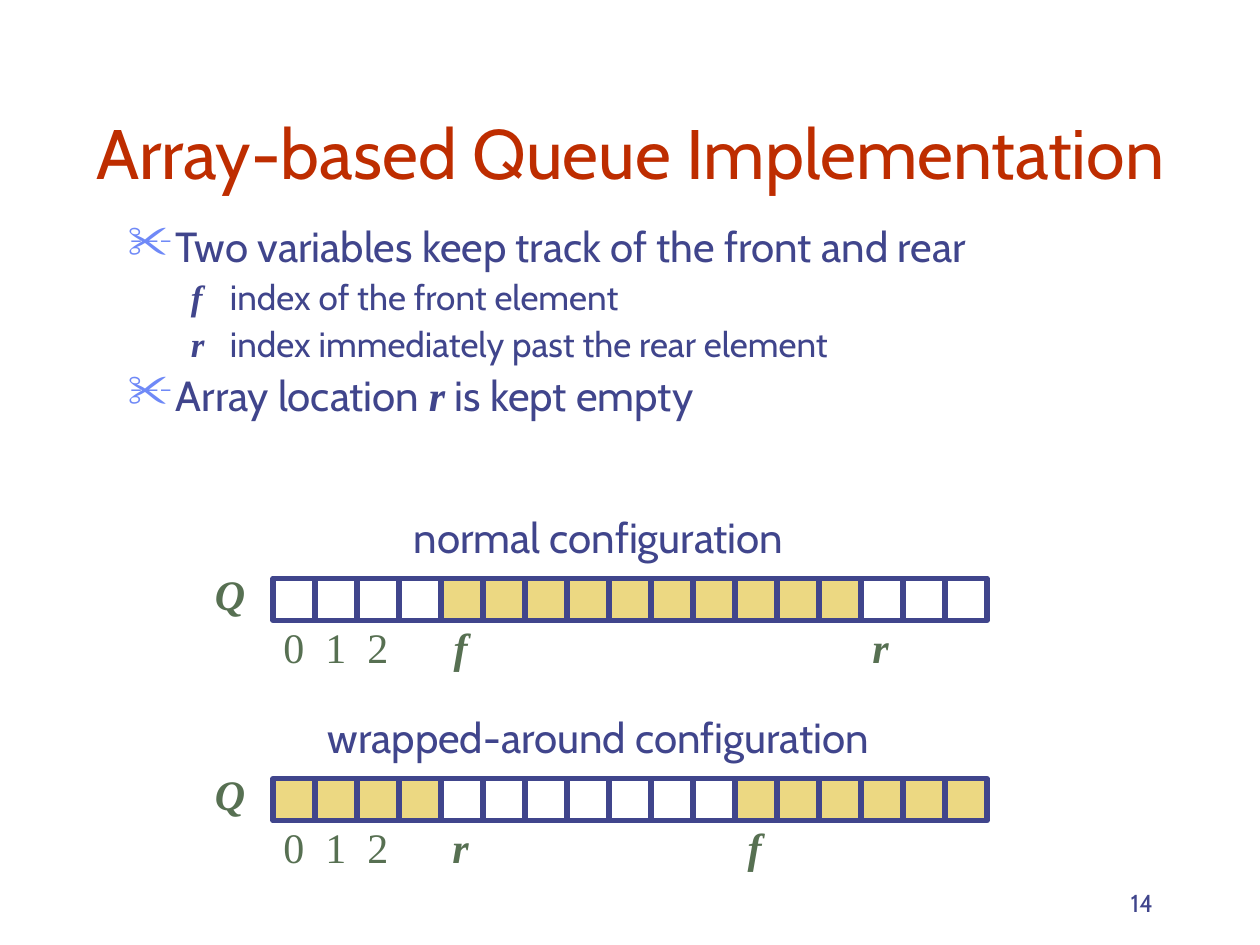
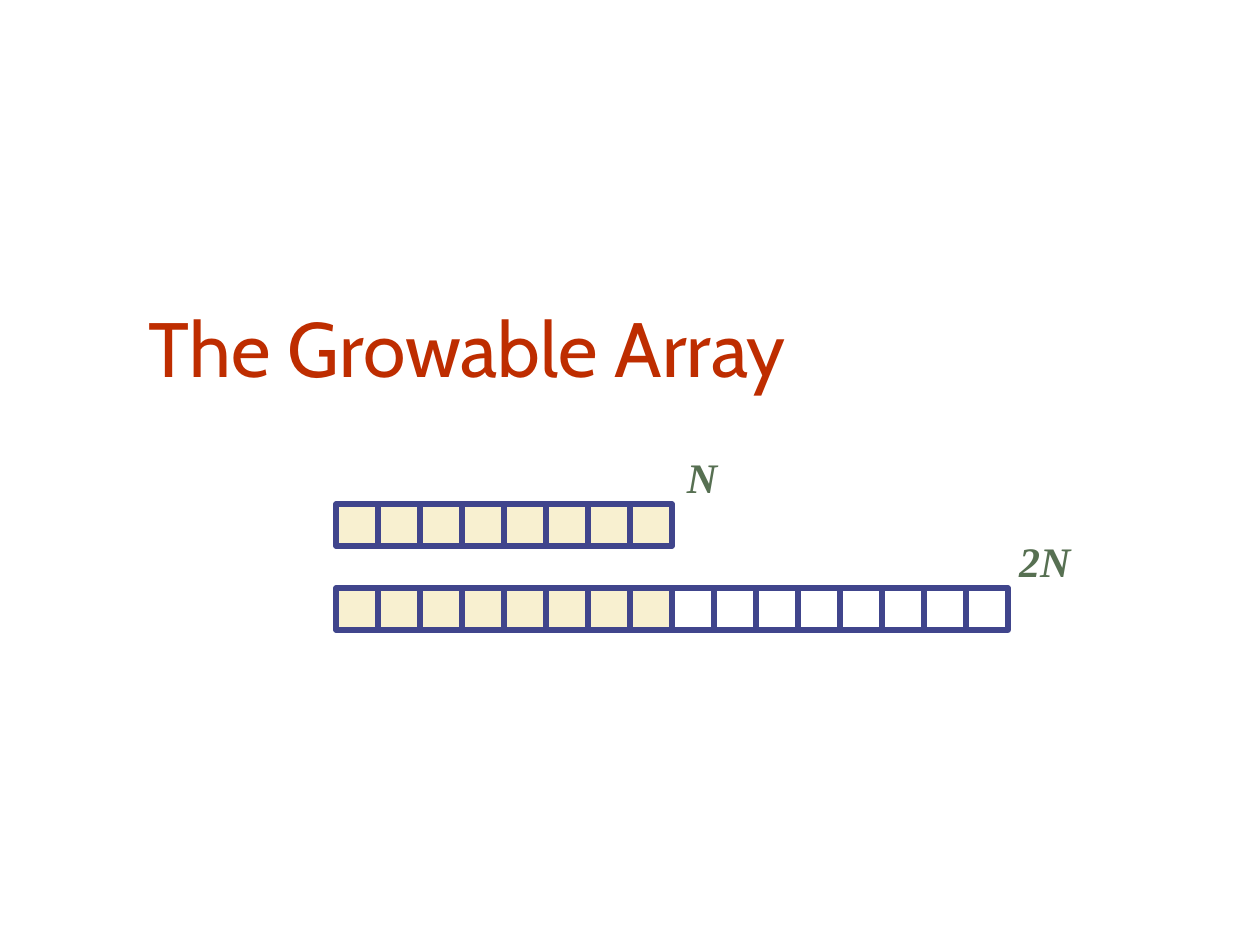
from lxml.etree import SubElement
from pptx import Presentation
from pptx.dml.color import RGBColor
from pptx.enum.shapes import MSO_SHAPE
from pptx.enum.text import MSO_ANCHOR, PP_ALIGN
from pptx.oxml.ns import qn
from pptx.util import Inches, Pt

RED = RGBColor(0xBE, 0x2D, 0x00)
NAVY = RGBColor(0x40, 0x45, 0x8C)
GREEN = RGBColor(0x57, 0x70, 0x52)
SKY = RGBColor(0x6F, 0x89, 0xF7)
GOLD = RGBColor(0xEC, 0xD8, 0x82)
CREAM = RGBColor(0xF8, 0xF0, 0xD0)
WHITE = RGBColor(0xFF, 0xFF, 0xFF)
SANS, SERIF = "Cabin", "Times New Roman"

deck = Presentation()
deck.slide_width, deck.slide_height = Inches(10), Inches(7.5)
UNIT = deck.slide_width / 30


def grid(*spans):
    return [round(span * UNIT) for span in spans]


def write(shapes, text, place, size=24, color=NAVY, font=SANS, align=PP_ALIGN.LEFT,
          anchor=MSO_ANCHOR.TOP, inset=0.1, wrap=True, bullets=False):
    frame = shapes.add_textbox(*grid(*place)).text_frame
    frame.word_wrap = wrap
    frame.vertical_anchor = anchor
    frame.margin_left = frame.margin_right = Inches(inset)
    frame.margin_top = frame.margin_bottom = Inches(inset / 2)
    for num, line in enumerate(text.split("\n")):
        para = frame.paragraphs[0] if num == 0 else frame.add_paragraph()
        para.alignment = align
        points = size
        if bullets:
            sub = "\t" in line
            points = 20 if sub else size
            props = para._p.get_or_add_pPr()
            props.set("marL", str(Inches(0.81 if sub else 0.38)))
            props.set("indent", str(Inches(-0.31 if sub else -0.38)))
            if not sub:
                tint = SubElement(props, qn("a:buClr"))
                SubElement(tint, qn("a:srgbClr"), val=str(SKY))
                SubElement(props, qn("a:buSzPct"), val="110000")
                SubElement(props, qn("a:buChar"), char="✂")
            para.line_spacing = 0.9
            if num:
                para.space_before = Pt(5 if sub else 6)
        for part, words in enumerate(line.split("*")):
            if words:
                run = para.add_run()
                run.text = words
                math = part % 2 == 1
                run.font.name = SERIF if math else font
                run.font.size = Pt(points)
                run.font.bold = run.font.italic = math
                run.font.color.rgb = color


def strip(shapes, col, row, fills):
    for step, fill in enumerate(fills):
        cell = shapes.add_shape(MSO_SHAPE.RECTANGLE, *grid(col + step, row, 1, 1))
        cell.shadow.inherit = False
        cell.line.color.rgb = NAVY
        cell.line.width = Pt(3)
        if fill:
            cell.fill.solid()
            cell.fill.fore_color.rgb = fill
        else:
            cell.fill.background()


label = dict(color=GREEN, font=SERIF, inset=0)
mid = dict(label, align=PP_ALIGN.CENTER)
title = dict(color=RED, anchor=MSO_ANCHOR.BOTTOM)

queue = deck.slides.add_slide(deck.slide_layouts[6])
write(queue.shapes, "14", (21.5, 20.5, 6.25, 1.5), size=14,
      align=PP_ALIGN.RIGHT, anchor=MSO_ANCHOR.BOTTOM)
write(queue.shapes, "Array-based Queue Implementation", (2, 1, 27, 3.75), size=40, **title)
write(queue.shapes, """Two variables keep track of the front and rear
*f *\tindex of the front element
*r*\tindex immediately past the rear element
Array location *r* is kept empty""", (2.75, 5.25, 24.5, 6.25), bullets=True)

LEFT = 6.5
SETUPS = [
    ("normal configuration", 13.77, [WHITE] * 4 + [GOLD] * 10 + [WHITE] * 3, {"f": 4, "r": 14}),
    ("wrapped-around configuration", 18.54, [GOLD] * 4 + [WHITE] * 7 + [GOLD] * 6, {"f": 11, "r": 4}),
]
for name, row, fills, marks in SETUPS:
    group = queue.shapes.add_group_shape().shapes
    write(group, "*Q*", (5, row - 0.24, 0.96, 1.2), **mid)
    for num in range(3):
        write(group, str(num), (LEFT + num + 0.25, row + 1.02, 0.5, 1.2), wrap=False, **label)
    for mark, slot in marks.items():
        write(group, f"*{mark}*", (LEFT + slot, row + 1.02, 0.93, 1.2), **mid)
    strip(group, LEFT, row, fills)
    write(queue.shapes, name, (6.69, row - 1.74, 15.12, 1.5), align=PP_ALIGN.CENTER, wrap=False)

grow = deck.slides.add_slide(deck.slide_layouts[6])
write(grow.shapes, "The Growable Array", (3.25, 5.75, 25.5, 3.75), size=44, **title)
group = grow.shapes.add_group_shape().shapes
write(group, "*N*", (16.25, 10.75, 0.93, 1.2), **mid)
strip(group, 8, 12, [CREAM] * 8)
strip(group, 8, 14, [CREAM] * 8 + [None] * 8)
write(group, "*2N*", (24, 12.75, 1.75, 1.2), **mid)

deck.save("out.pptx")
